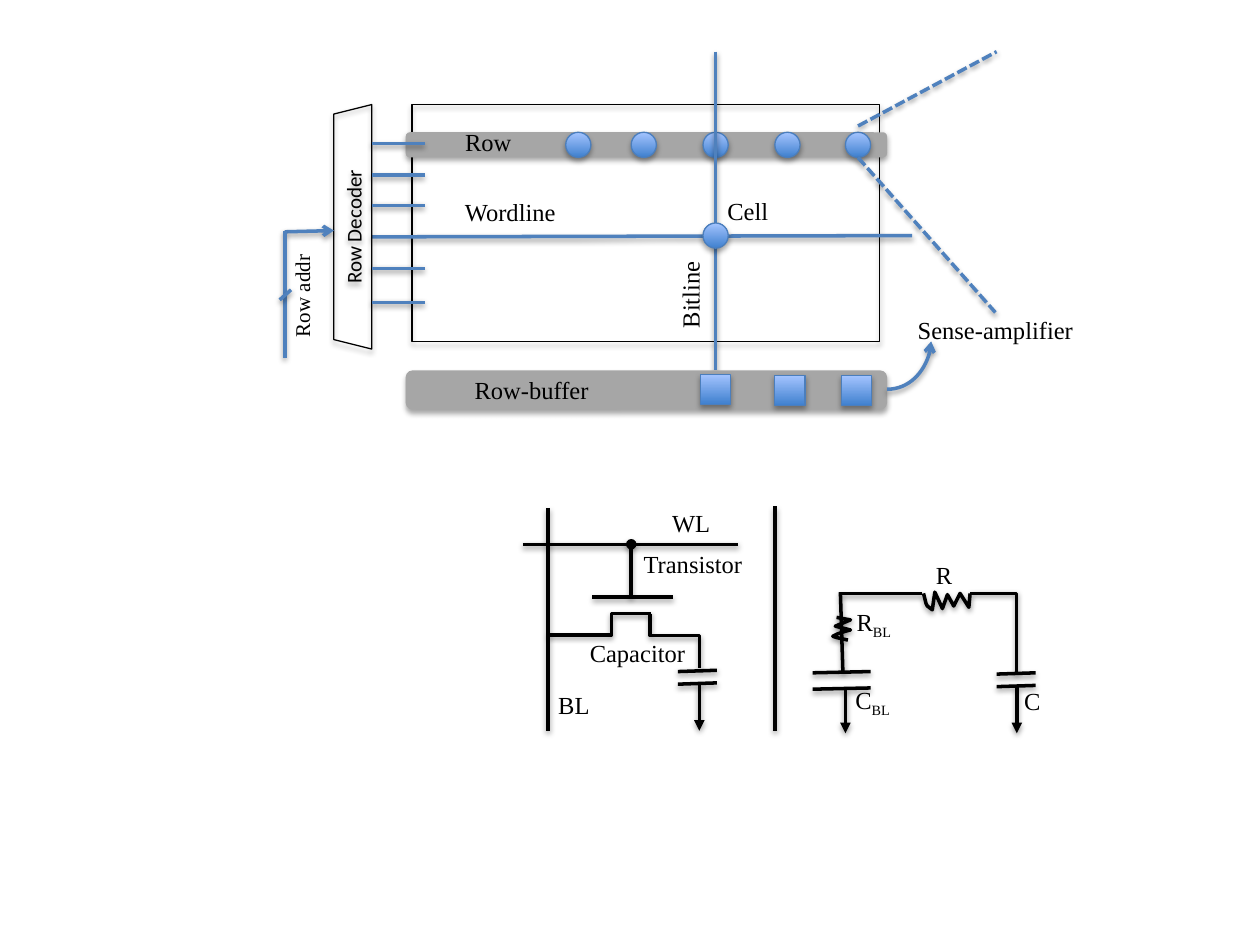
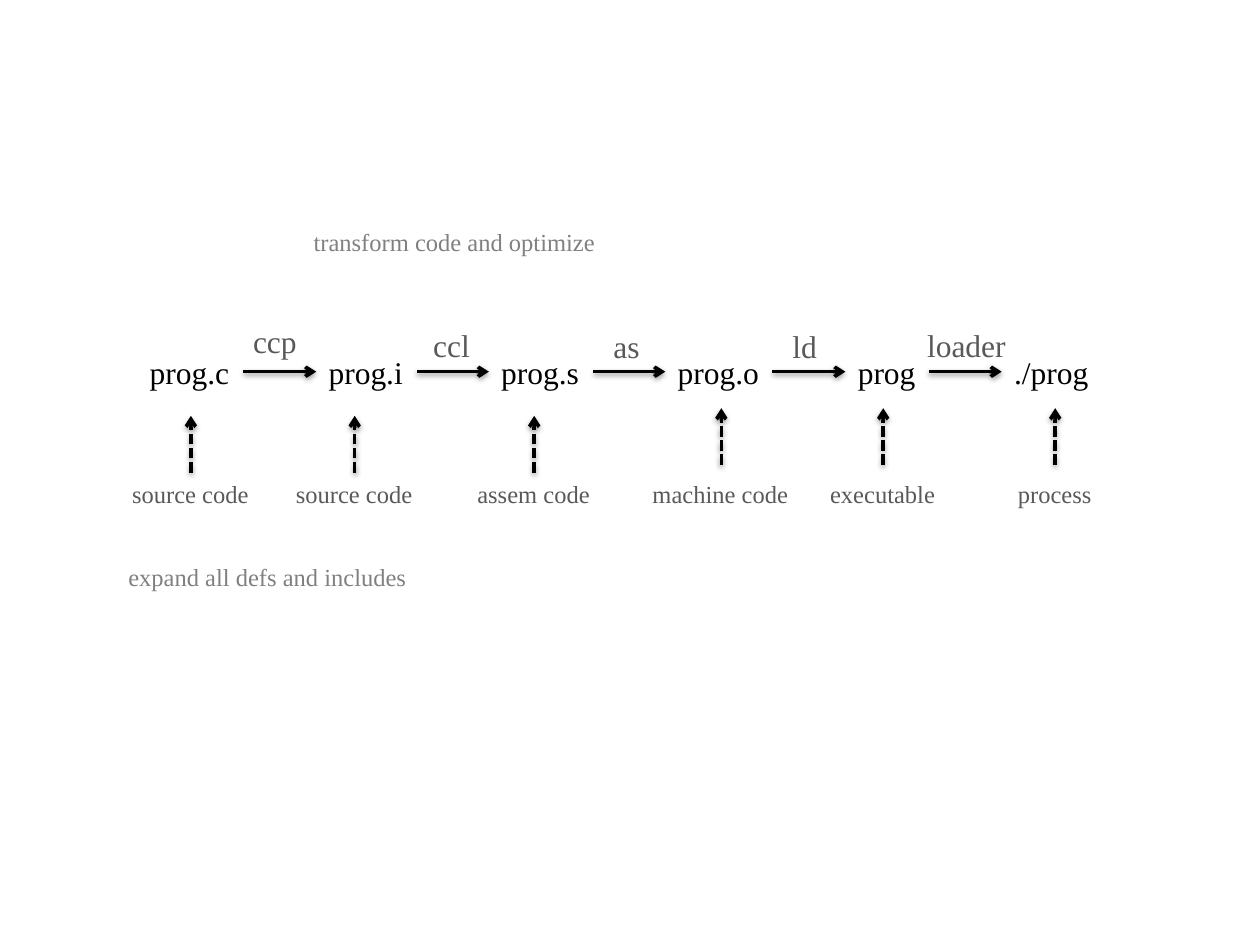
"""Builds two slides: a DRAM array with its cell circuit, and a C compile chain."""
from dataclasses import dataclass

from lxml.etree import SubElement
from pptx import Presentation
from pptx.dml.color import RGBColor
from pptx.enum.dml import MSO_LINE
from pptx.enum.shapes import MSO_CONNECTOR as Wire, MSO_SHAPE as Form
from pptx.enum.text import MSO_ANCHOR, MSO_AUTO_SIZE, PP_ALIGN
from pptx.oxml.ns import qn
from pptx.util import Inches, Pt


@dataclass(frozen=True)
class Theme:
    ink: str = "000000"
    wire: str = "4F81BD"
    rim: str = "4B7EBC"
    deep: str = "3F80CE"
    pale: str = "A4C4FF"
    bar: str = "A6A6A6"
    step: str = "595959"
    remark: str = "808080"
    serif: str = "Times New Roman"
    sans: str = "Calibri"
    large: int = 18
    normal: int = 14
    small: int = 12
    thick: float = 2
    thin: float = 0.75


THEME = Theme()

ARRAY = (3.27, 0.83, 3.71, 1.88)
ROW_BAR = (3.22, 1.05, 3.82, 0.2)
BUFFER_BAR = (3.22, 2.94, 3.82, 0.31)
DECODER = (1.83, 1.65, 1.94, 0.3)
CELL_SIZE, AMPLIFIER_SIZE = 0.2, 0.24
ROW_CELLS = [4.49, 5.01, 5.58, 6.15, 6.71]
CROSSING_CELL = (5.58, 1.77)
AMPLIFIERS = [(5.56, 2.97), (6.15, 2.98), (6.68, 2.98)]
BITLINE = (5.68, 0.41, 5.68, 2.94)
WORDLINE = (2.95, 1.88, 7.24, 1.87)
DECODER_OUTPUTS = [1.14, 1.39, 1.63, 2.13, 2.4]
OUTPUT_SPAN = (2.95, 3.37)
ZOOM_LINES = [(6.81, 1, 7.91, 0.41), (6.81, 1.25, 7.9, 2.48)]
ADDRESS_ARROW = (2.26, 1.84, 2.65, 1.83)
ADDRESS_WIRES = [(2.26, 1.83, 2.26, 2.84), (2.22, 2.38, 2.31, 2.3)]
AMPLIFIER_POINTER = (7.04, 3.09, 7.39, 2.71)

ARRAY_LABELS = [
    ("Row-buffer", (3.54, 2.95, 1.36, 0.28)),
    ("Sense-amplifier", (7.04, 2.48, 1.72, 0.28)),
    ("Cell", (5.63, 1.53, 0.61, 0.28)),
    ("Wordline", (3.37, 1.54, 1.36, 0.28)),
    ("Row", (3.5, 1, 0.75, 0.25)),
]
CIRCUIT_LABELS = [
    ("C", "BL", (6.62, 5.43, 0.61, 0.28)),
    ("C", "", (8.03, 5.42, 0.29, 0.28)),
    ("R", "", (7.33, 4.42, 0.29, 0.28)),
    ("R", "BL", (6.63, 4.81, 0.61, 0.28)),
    ("WL", "", (5.18, 4.01, 0.61, 0.28)),
    ("BL", "", (4.25, 5.45, 0.61, 0.28)),
    ("Transistor", "", (4.92, 4.4, 1.16, 0.14)),
    ("Capacitor", "", (4.48, 5.11, 1.16, 0.14)),
]
CIRCUIT_WIRES = [
    (6.15, 4.02, 6.15, 5.8),
    (6.68, 4.71, 7.32, 4.71),
    (6.67, 4.7, 6.69, 5.34),
    (4.15, 4.32, 5.86, 4.32),
    (4.35, 4.03, 4.35, 5.8),
    (4.7, 4.74, 5.34, 4.74),
]
GATE = (5.01, 4.32, 5.01, 4.74)
CAPACITORS = [
    {"left": 7.91, "right": 8.22, "top": 5.35, "gap": 0.1, "lead": 8.07, "foot": 5.82},
    {"left": 6.45, "right": 6.91, "top": 5.34, "gap": 0.13, "lead": 6.71, "foot": 5.82},
    {"left": 5.38, "right": 5.69, "top": 5.33, "gap": 0.1, "lead": 5.55, "foot": 5.8},
]
RESISTORS = [
    [(7.33, 4.71), (7.35, 4.79), (7.36, 4.81), (7.4, 4.84), (7.42, 4.7), (7.48, 4.83),
     (7.52, 4.72), (7.57, 4.81), (7.62, 4.71), (7.69, 4.82), (7.7, 4.71)],
    [(6.73, 5.08), (6.64, 5.06), (6.61, 5.05), (6.65, 5.03), (6.71, 5.01), (6.75, 5),
     (6.63, 4.97), (6.75, 4.92), (6.64, 4.9)],
]
RESISTOR_LEAD = (7.7, 4.71, 8.07, 5.35)
SOURCE_LEAD = (4.35, 5.04, 5.17, 4.87)
DRAIN_LEAD = (5.57, 4.89, 5.14, 5.28)

FILES_TOP, FILE_HEIGHT = 2.75, 0.4
KINDS_TOP, KIND_HEIGHT = 3.75, 0.34
RISE = 0.45
STAGES = [
    {"file": ("prog.c", 1.09, 0.84), "kind": ("source code", 0.95, 1.13), "from": 3.75},
    {"file": ("prog.i", 2.51, 0.8), "kind": ("source code", 2.25, 1.13), "from": 3.75},
    {"file": ("prog.s", 3.88, 0.83), "kind": ("assem code", 3.69, 1.1), "from": 3.75},
    {"file": ("prog.o", 5.28, 0.85), "kind": ("machine code", 5.08, 1.29), "from": 3.69},
    {"file": ("prog", 6.71, 0.66), "kind": ("executable", 6.49, 1.04), "from": 3.69},
    {"file": ("./prog", 7.95, 0.8), "kind": ("process", 7.98, 0.79), "from": 3.69},
]
TOOLS = [
    ("ccp", (1.91, 2.51, 0.55, 0.4)),
    ("ccl", (3.34, 2.54, 0.5, 0.4)),
    ("as", (4.77, 2.55, 0.41, 0.4)),
    ("ld", (6.19, 2.55, 0.4, 0.4)),
    ("loader", (7.26, 2.54, 0.83, 0.4)),
]
REMARKS = [
    ("expand all defs and includes", (0.92, 4.41, 2.43, 0.34)),
    ("transform code and optimize", (2.39, 1.75, 2.45, 0.34)),
]


def inches(lengths):
    return [Inches(length) for length in lengths]


def cast_shadow(part, alpha, distance):
    properties = part._element.spPr
    effects = properties.find(qn("a:effectLst"))
    if effects is None:
        effects = SubElement(properties, qn("a:effectLst"))
    shade = SubElement(effects, qn("a:outerShdw"), blurRad=str(Pt(3.1)),
                       dist=str(Pt(distance)), dir="5400000", rotWithShape="0")
    black = SubElement(shade, qn("a:srgbClr"), val=THEME.ink)
    SubElement(black, qn("a:alpha"), val=str(alpha * 1000))


def style_line(line, color, width):
    line.color.rgb = RGBColor.from_string(color)
    line.width = Pt(width)


def add_run(paragraph, text, size, color=THEME.ink, font=THEME.serif, sub=False):
    run = paragraph.add_run()
    run.text = text
    run.font.size = Pt(size)
    run.font.name = font
    run.font.color.rgb = RGBColor.from_string(color)
    if sub:
        run.font._element.set("baseline", "-25000")


def add_label(slide, text, box, sub="", size=THEME.normal, turn=0):
    label = slide.shapes.add_textbox(*inches(box))
    label.rotation = turn
    frame = label.text_frame
    frame.word_wrap = True
    frame.vertical_anchor = MSO_ANCHOR.MIDDLE
    paragraph = frame.paragraphs[0]
    paragraph.alignment = PP_ALIGN.CENTER
    add_run(paragraph, text, size)
    if sub:
        add_run(paragraph, sub, size, sub=True)


def add_caption(slide, text, box, size, color):
    caption = slide.shapes.add_textbox(*inches(box))
    frame = caption.text_frame
    frame.word_wrap = False
    frame.auto_size = MSO_AUTO_SIZE.SHAPE_TO_FIT_TEXT
    add_run(frame.paragraphs[0], text, size, color)
    return caption


def add_block(slide, form, box, fill=None, rim=None):
    block = slide.shapes.add_shape(form, *inches(box))
    if fill == "gradient":
        block.fill.gradient()
        block.fill.gradient_angle = 90
        for stop, color in zip(block.fill.gradient_stops, (THEME.deep, THEME.pale)):
            stop.color.rgb = RGBColor.from_string(color)
    elif fill:
        block.fill.solid()
        block.fill.fore_color.rgb = RGBColor.from_string(fill)
    else:
        block.fill.background()
    if rim:
        style_line(block.line, rim, THEME.thin)
    else:
        block.line.fill.background()
    block.shadow.inherit = False
    cast_shadow(block, 35, 1.8)
    return block


def add_node(slide, form, left, top, size):
    add_block(slide, form, (left, top, size, size), "gradient", THEME.rim)


def add_wire(slide, ends, color=THEME.ink, head=None, tail=None, dashed=False,
             route=Wire.STRAIGHT, preset=None, bend=None, turn=0):
    wire = slide.shapes.add_connector(route, *inches(ends))
    style_line(wire.line, color, THEME.thick)
    if dashed:
        wire.line.dash_style = MSO_LINE.SQUARE_DOT
    properties = wire._element.spPr
    for tag, tip in (("a:headEnd", head), ("a:tailEnd", tail)):
        if tip:
            SubElement(properties.find(qn("a:ln")), qn(tag), type=tip)
    geometry = properties.find(qn("a:prstGeom"))
    if preset:
        geometry.set("prst", preset)
    if bend:
        guides = geometry.find(qn("a:avLst"))
        if guides is None:
            guides = SubElement(geometry, qn("a:avLst"))
        SubElement(guides, qn("a:gd"), name="adj1", fmla=f"val {bend}")
    if turn:
        properties.find(qn("a:xfrm")).set("rot", str(turn * 60000))
    cast_shadow(wire, 38, 1.6)
    return wire


def add_resistor(slide, points):
    start, *rest = [inches(point) for point in points]
    builder = slide.shapes.build_freeform(*start)
    builder.add_line_segments(rest, close=False)
    resistor = builder.convert_to_shape()
    resistor.fill.background()
    style_line(resistor.line, THEME.ink, THEME.thick)
    resistor.shadow.inherit = False
    cast_shadow(resistor, 38, 1.6)


def add_capacitor(slide, left, right, top, gap, lead, foot):
    for plate in (top, top + gap):
        add_wire(slide, (left, plate, right, plate - 0.01))
    add_wire(slide, (lead, top + gap, lead, foot), tail="triangle")


def draw_array(slide):
    add_block(slide, Form.RECTANGLE, ARRAY, rim=THEME.ink)
    add_block(slide, Form.ROUNDED_RECTANGLE, ROW_BAR, THEME.bar)
    for left in ROW_CELLS:
        add_node(slide, Form.OVAL, left, ROW_BAR[1], CELL_SIZE)
    for ends in (BITLINE, WORDLINE):
        add_wire(slide, ends, THEME.wire)
    add_node(slide, Form.OVAL, *CROSSING_CELL, CELL_SIZE)
    add_block(slide, Form.ROUNDED_RECTANGLE, BUFFER_BAR, THEME.bar)
    for left, top in AMPLIFIERS:
        add_node(slide, Form.RECTANGLE, left, top, AMPLIFIER_SIZE)
    add_wire(slide, AMPLIFIER_POINTER, THEME.wire, tail="arrow",
             route=Wire.CURVE, preset="curvedConnector2")
    for text, box in ARRAY_LABELS:
        add_label(slide, text, box)
    add_label(slide, "Bitline", (4.97, 2.2, 1.01, 0.28), turn=270)
    for ends in ZOOM_LINES:
        add_wire(slide, ends, THEME.wire, dashed=True)
    decoder = add_block(slide, Form.TRAPEZOID, DECODER, rim=THEME.ink)
    decoder.rotation = 270
    decoder.text_frame.vertical_anchor = MSO_ANCHOR.MIDDLE
    title = decoder.text_frame.paragraphs[0]
    title.alignment = PP_ALIGN.CENTER
    add_run(title, "Row Decoder", THEME.small, font=THEME.sans)
    start, end = OUTPUT_SPAN
    for height in DECODER_OUTPUTS:
        add_wire(slide, (start, height, end, height), THEME.wire)
    add_wire(slide, ADDRESS_ARROW, THEME.wire, tail="arrow")
    for ends in ADDRESS_WIRES:
        add_wire(slide, ends, THEME.wire)
    add_label(slide, "Row addr", (1.75, 2.21, 1.29, 0.28), size=THEME.small, turn=270)


def draw_circuit(slide):
    for ends in CIRCUIT_WIRES:
        add_wire(slide, ends)
    add_wire(slide, GATE, head="oval")
    for capacitor in CAPACITORS:
        add_capacitor(slide, **capacitor)
    for points in RESISTORS:
        add_resistor(slide, points)
    add_wire(slide, RESISTOR_LEAD, route=Wire.ELBOW, preset="bentConnector2")
    add_wire(slide, SOURCE_LEAD, route=Wire.ELBOW, bend=61500)
    add_wire(slide, DRAIN_LEAD, route=Wire.ELBOW, bend=40800, turn=270)
    for text, sub, box in CIRCUIT_LABELS:
        add_label(slide, text, box, sub)


def draw_chain(slide):
    files = []
    for stage in STAGES:
        name, left, width = stage["file"]
        files.append(add_caption(slide, name, (left, FILES_TOP, width, FILE_HEIGHT),
                                 THEME.large, THEME.ink))
        kind, left, width = stage["kind"]
        label = add_caption(slide, kind, (left, KINDS_TOP, width, KIND_HEIGHT),
                            THEME.normal, THEME.step)
        middle, foot = left + width / 2, stage["from"]
        pointer = add_wire(slide, (middle, foot, middle, foot - RISE), tail="arrow", dashed=True)
        if foot == KINDS_TOP:
            pointer.begin_connect(label, 0)
    for before, after in zip(files, files[1:]):
        arrow = add_wire(slide, (0, 0, 1, 0), tail="arrow")
        arrow.begin_connect(before, 3)
        arrow.end_connect(after, 1)
    for text, box in TOOLS:
        add_caption(slide, text, box, THEME.large, THEME.step)
    for text, box in REMARKS:
        add_caption(slide, text, box, THEME.normal, THEME.remark)


def main():
    deck = Presentation()
    deck.slide_width, deck.slide_height = Inches(10), Inches(7.5)
    memory, compilation = [deck.slides.add_slide(deck.slide_layouts[6]) for _ in range(2)]
    draw_array(memory)
    draw_circuit(memory)
    draw_chain(compilation)
    deck.save("out.pptx")


if __name__ == "__main__":
    main()
